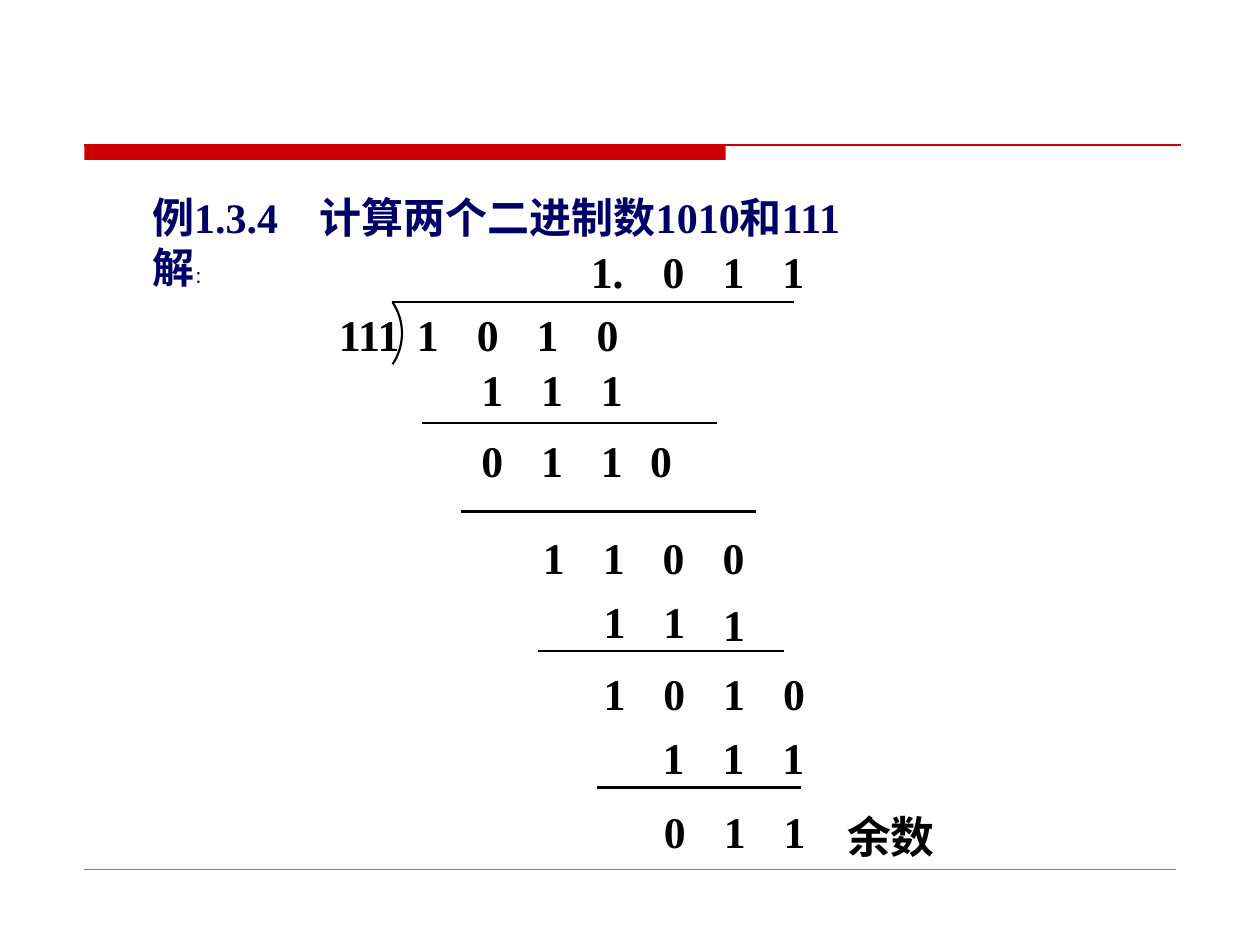
from dataclasses import dataclass

from lxml import etree
from pptx import Presentation
from pptx.dml.color import RGBColor
from pptx.enum import shapes, text
from pptx.oxml import ns
from pptx.util import Inches, Pt


@dataclass(frozen=True)
class Theme:
    latin: str = "Times New Roman"
    asian: str = "Noto Sans CJK SC"
    red: str = "CC0000"
    navy: str = "000066"
    black: str = "000000"
    grey: str = "808080"
    heading: float = 24
    digit: float = 25
    small: float = 10
    rule: float = 1.25


THEME = Theme()
PITCH = 0.475            # distance between digit columns
DIGIT_W, DIGIT_H = 0.17, 0.42

# Rows of the division: top, left of the first digit, digits
ROWS = [
    (1.94, 5.26, "011"),
    (2.44, 3.31, "1010"),
    (2.88, 3.82, "111"),
    (3.44, 3.82, "011"),
    (4.21, 4.31, "1100"),
    (4.72, 4.79, "11"),
    (4.74, 5.74, "1"),
    (5.29, 4.79, "1010"),
    (5.80, 5.26, "111"),
    (6.39, 5.27, "011"),
]
# Entries that stand off the columns: left, top, width, wording
LABELS = [
    (4.69, 1.94, 0.26, "1."),
    (2.67, 2.44, 0.52, "111"),
    (5.16, 3.44, DIGIT_W, "0"),
]
REMAINDER = (6.67, 6.43, 0.8, "余数")
# Rules of the division: left, right, height on the page
RULES = [(3.11, 6.3, 2.4), (3.35, 5.69, 3.36), (3.66, 6, 4.06),
         (4.27, 6.22, 5.17), (4.74, 6.36, 6.25)]


def colour(value):
    return RGBColor.from_string(value)


def add_span(para, wording, size, tint, bold=True, face=THEME.latin):
    span = para.add_run()
    span.text = wording
    font = span.font
    font.name, font.size, font.bold = face, Pt(size), bold
    font.color.rgb = colour(tint)
    asian = etree.SubElement(font._element, ns.qn("a:ea"))
    asian.set("typeface", THEME.asian)


def add_box(page, left, top, width, height, inset=(0, 0)):
    box = page.shapes.add_textbox(*map(Inches, (left, top, width, height)))
    frame = box.text_frame
    frame.word_wrap = False
    frame.margin_left = frame.margin_right = Inches(inset[0])
    frame.margin_top = frame.margin_bottom = Inches(inset[1])
    return frame


def add_label(page, left, top, width, wording, face=THEME.latin):
    para = add_box(page, left, top, width, DIGIT_H).paragraphs[0]
    para.alignment = text.PP_ALIGN.CENTER
    add_span(para, wording, THEME.digit, THEME.black, face=face)


def add_row(page, top, left, digits):
    for column, digit in enumerate(digits):
        add_label(page, left + column * PITCH, top, DIGIT_W, digit)


def add_rule(page, left, right, y, tint=THEME.black, weight=THEME.rule):
    rule = page.shapes.add_connector(
        shapes.MSO_CONNECTOR.STRAIGHT, *map(Inches, (left, y, right, y)))
    rule.line.color.rgb = colour(tint)
    rule.line.width = Pt(weight)
    etree.SubElement(rule._element.spPr, ns.qn("a:effectLst"))


def add_frame(page):
    bar = page.shapes.add_shape(shapes.MSO_SHAPE.RECTANGLE,
                                *map(Inches, (0.67, 1.15, 5.09, 0.12)))
    bar.shadow.inherit = False
    bar.fill.solid()
    bar.fill.fore_color.rgb = colour(THEME.red)
    bar.line.fill.background()
    add_rule(page, 0.67, 9.37, 1.15, THEME.red, 0.75)
    add_rule(page, 0.67, 9.33, 6.9, THEME.grey, 0.25)


def add_heading(page):
    frame = add_box(page, 1.11, 1.47, 5.93, 0.9, inset=(0.1, 0.05))
    frame.vertical_anchor = text.MSO_ANCHOR.MIDDLE
    example = frame.paragraphs[0]
    tabs = etree.SubElement(example._p.get_or_add_pPr(), ns.qn("a:tabLst"))
    etree.SubElement(tabs, ns.qn("a:tab"), pos=str(Inches(1.33)), algn="l")
    add_span(example, "例1.3.4\t计算两个二进制数1010和111",
             THEME.heading, THEME.navy)
    solution = frame.add_paragraph()
    add_span(solution, "解", THEME.heading, THEME.navy)
    add_span(solution, "：", THEME.small, THEME.navy, bold=False)


def add_division_arc(page):
    arc = page.shapes.add_shape(shapes.MSO_SHAPE.ARC,
                                *map(Inches, (2.3, 2.2, 0.89, 0.89)))
    half_angle = 33.5
    per_degree = 0.6     # 60000 angle units over the 100000 of an adjustment
    arc.adjustments[0] = (360 - half_angle) * per_degree
    arc.adjustments[1] = half_angle * per_degree
    arc.shadow.inherit = False
    arc.fill.background()
    arc.line.color.rgb = colour(THEME.black)
    arc.line.width = Pt(THEME.rule)


def main():
    deck = Presentation()
    deck.slide_width, deck.slide_height = Inches(10), Inches(7.5)
    page = deck.slides.add_slide(deck.slide_layouts[6])

    # Page frame and problem statement
    add_frame(page)
    add_heading(page)

    # Long division
    add_division_arc(page)
    for rule in RULES:
        add_rule(page, *rule)
    for row in ROWS:
        add_row(page, *row)
    for label in LABELS:
        add_label(page, *label)
    add_label(page, *REMAINDER, face=THEME.asian)

    deck.save("out.pptx")


if __name__ == "__main__":
    main()
